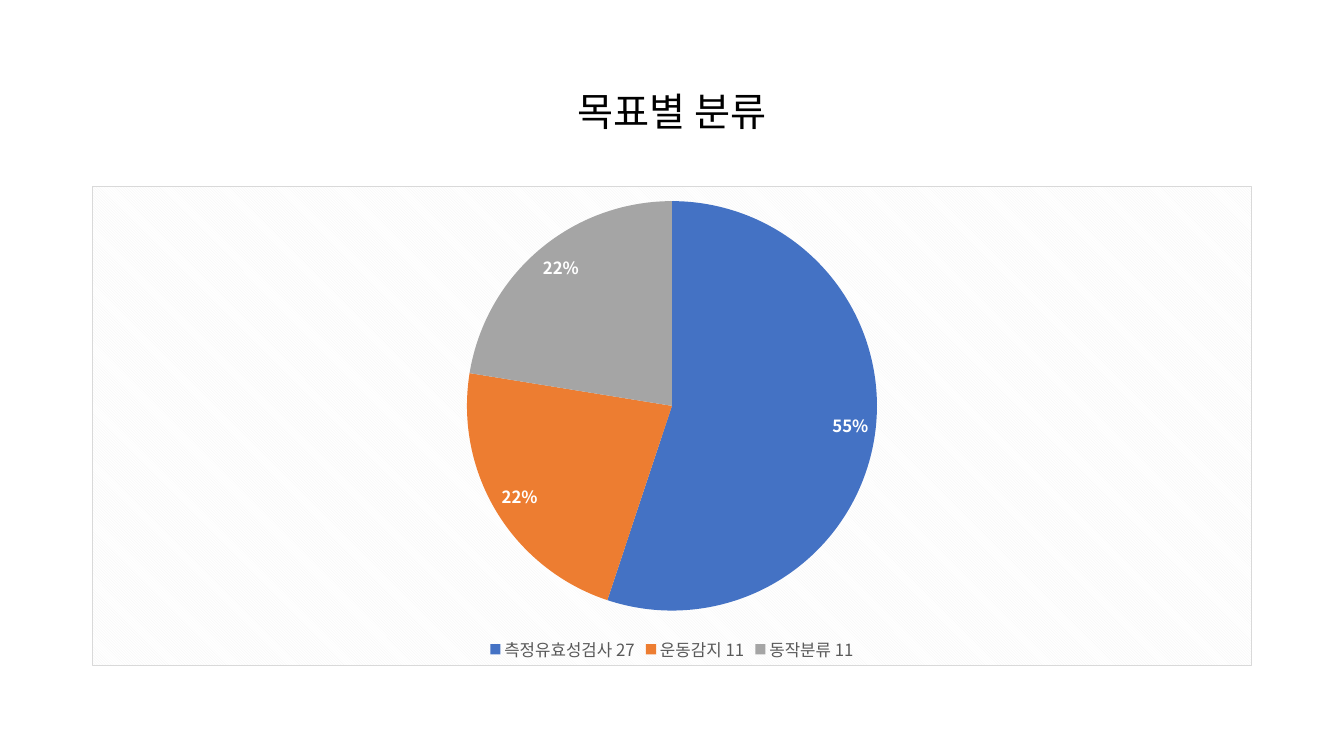
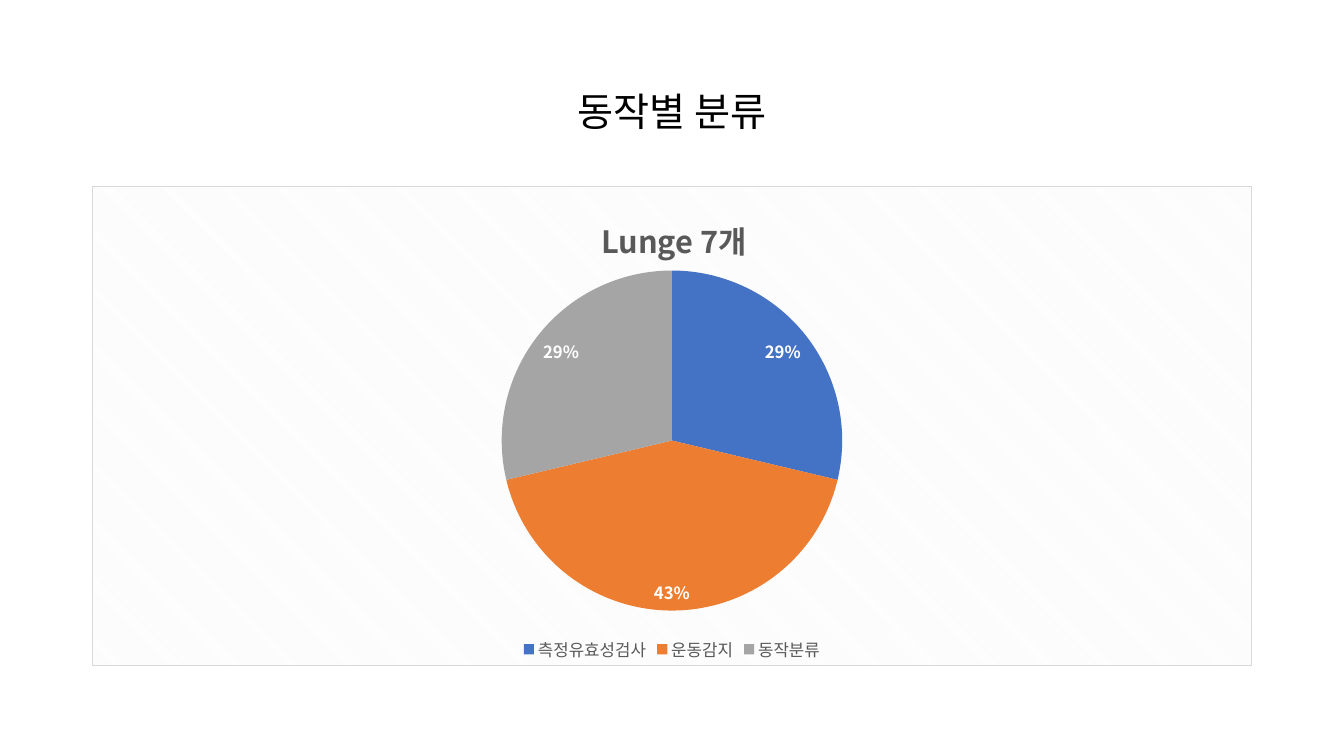
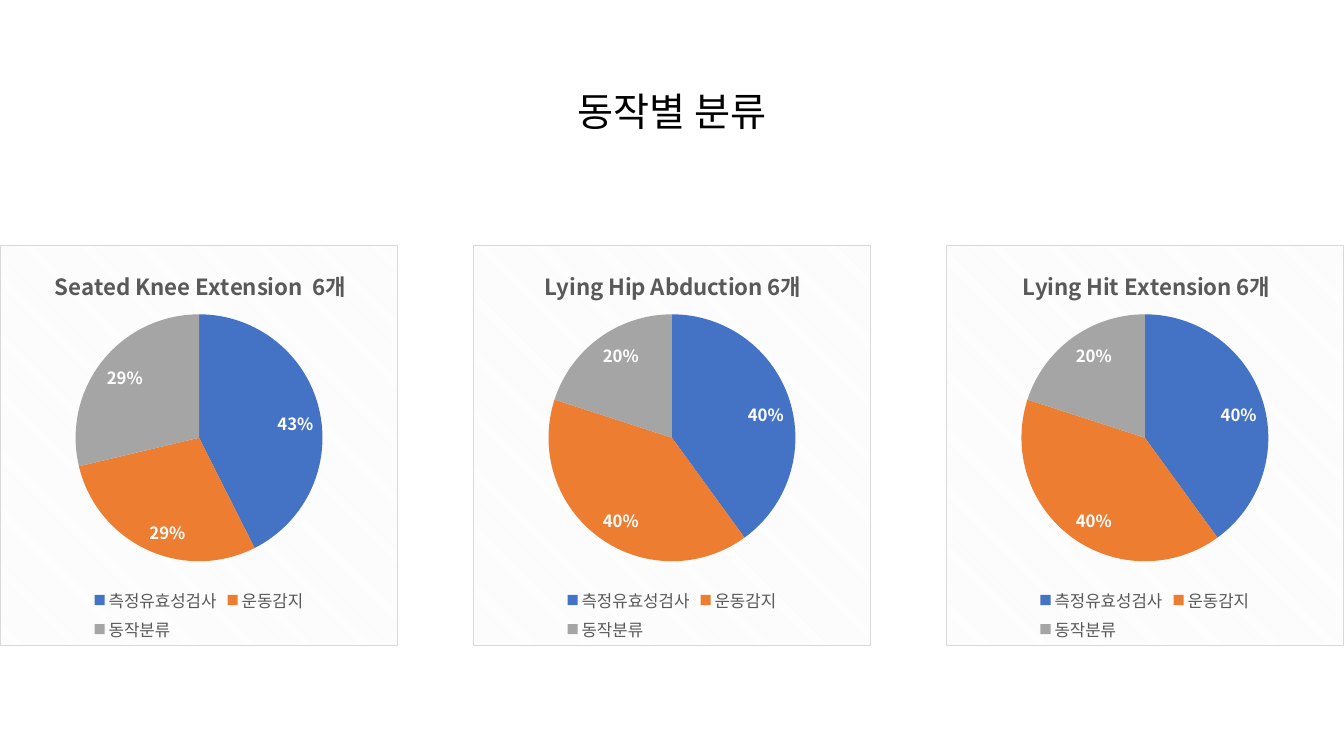
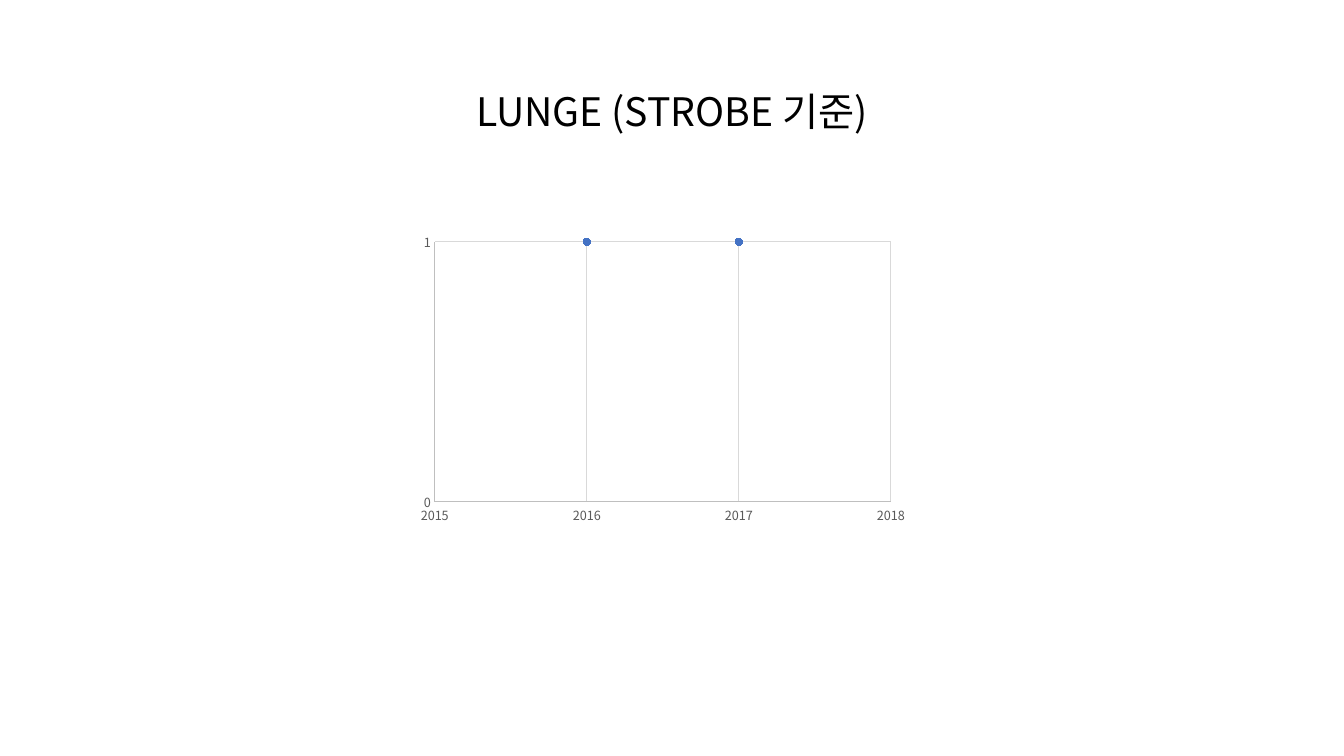
from lxml import etree
from pptx import Presentation
from pptx.chart.data import CategoryChartData, XyChartData
from pptx.dml.color import RGBColor
from pptx.enum.chart import (XL_CHART_TYPE, XL_LABEL_POSITION, XL_LEGEND_POSITION,
                             XL_MARKER_STYLE, XL_TICK_MARK)
from pptx.enum.text import MSO_ANCHOR, PP_ALIGN
from pptx.oxml import parse_xml
from pptx.oxml.ns import nsdecls, qn
from pptx.util import Pt

PIE, SCATTER = XL_CHART_TYPE.PIE, XL_CHART_TYPE.XY_SCATTER
INSIDE_END, BOTTOM = XL_LABEL_POSITION.INSIDE_END, XL_LEGEND_POSITION.BOTTOM
CIRCLE, NO_TICK = XL_MARKER_STYLE.CIRCLE, XL_TICK_MARK.NONE
MIDDLE, CENTER = MSO_ANCHOR.MIDDLE, PP_ALIGN.CENTER

FONT = "Noto Sans CJK KR"
COLORS = {
    "black": "000000", "white": "FFFFFF", "text": "595959",
    "border": "D9D9D9", "axis": "BFBFBF", "hatch": "F2F2F2",
    "blue": "4472C4", "orange": "ED7D31", "gray": "A5A5A5",
}
SLICE_COLORS = ("blue", "orange", "gray")
GOALS = ("측정유효성검사", "운동감지", "동작분류")

SLIDE_W, SLIDE_H = 960, 540
TITLE_BOX = (66, 29, 828, 104)
WIDE_BOX = (66, 133, 828, 343)
SCATTER_BOX = (294, 162, 360, 216)
CARD_TOP, CARD_W, CARD_H = 175, 284.4, 286.6
CHART_TITLE_TOP = 0.045


def rgb(name):
    return RGBColor.from_string(COLORS[name])


def style_font(font, size, color, bold=False):
    font.name, font.size, font.bold = FONT, Pt(size), bold
    font.color.rgb = rgb(color)


def use_korean_font(root):
    """Repeat each Latin typeface as the East Asian one."""
    for latin in list(root.iter(qn("a:latin"))):
        east_asian = etree.Element(qn("a:ea"), typeface=FONT)
        latin.addnext(east_asian)


def manual_layout(inner=False, **fractions):
    """Layout element placing a chart part by fractions of the chart."""
    target = '<c:layoutTarget val="inner"/>' if inner else ""
    modes = '<c:xMode val="edge"/><c:yMode val="edge"/>'
    places = "".join(f'<c:{key} val="{value:.3f}"/>' for key, value in fractions.items())
    return parse_xml(f'<c:layout {nsdecls("c")}><c:manualLayout>{target}{modes}{places}'
                     '</c:manualLayout></c:layout>')


def drop_layout(element):
    for layout in element.findall(qn("c:layout")):
        element.remove(layout)


def place_plot(chart, x, y, w, h):
    plot_area = chart.plots[0]._element.getparent()
    drop_layout(plot_area)
    plot_area.insert(0, manual_layout(True, x=x, y=y, w=w, h=h))


def add_chart(slide, kind, box, data):
    chart = slide.shapes.add_chart(kind, *map(Pt, box), data).chart
    style_font(chart.font, 10, "black")
    chart.has_title = chart.has_legend = False
    return chart


def hatch_background(chart):
    frame = parse_xml(
        f'<c:spPr {nsdecls("c", "a")}><a:pattFill prst="dkDnDiag">'
        f'<a:fgClr><a:srgbClr val="{COLORS["hatch"]}"/></a:fgClr>'
        f'<a:bgClr><a:srgbClr val="{COLORS["white"]}"/></a:bgClr></a:pattFill>'
        f'<a:ln w="{Pt(0.75)}"><a:solidFill><a:srgbClr val="{COLORS["border"]}"/>'
        '</a:solidFill></a:ln></c:spPr>')
    chart._chartSpace.find(qn("c:chart")).addnext(frame)


def add_title(slide, text):
    frame = slide.shapes.add_textbox(*map(Pt, TITLE_BOX)).text_frame
    frame.word_wrap, frame.vertical_anchor = True, MIDDLE
    frame.text = text
    paragraph = frame.paragraphs[0]
    paragraph.alignment, paragraph.line_spacing = CENTER, 0.9
    style_font(paragraph.runs[0].font, 28, "black")
    use_korean_font(frame._txBody)


def add_pie(slide, box, labels, values, pie_top, pie_size, title=None, title_size=16, title_x=0):
    """Hatched pie card; pie_top and pie_size are fractions of its height."""
    data = CategoryChartData()
    data.categories = labels
    data.add_series("Series 1", values)
    chart = add_chart(slide, PIE, box, data)
    hatch_background(chart)

    # Heading
    if title:
        frame = chart.chart_title.text_frame
        frame.text = title
        style_font(frame.paragraphs[0].runs[0].font, title_size, "text", True)
        heading = chart.chart_title._element
        drop_layout(heading)
        heading.find(qn("c:tx")).addnext(manual_layout(x=title_x, y=CHART_TITLE_TOP))

    # Legend
    chart.has_legend = True
    chart.legend.position, chart.legend.include_in_layout = BOTTOM, False
    style_font(chart.legend.font, 12, "text")

    # Slices and percentages
    plot = chart.plots[0]
    plot.vary_by_categories = True
    for index, color in enumerate(SLICE_COLORS):
        fill = plot.series[0].points[index].format.fill
        fill.solid()
        fill.fore_color.rgb = rgb(color)
    plot.has_data_labels = True
    percents = plot.data_labels
    percents.show_percentage, percents.show_value = True, False
    percents.number_format, percents.number_format_is_linked = "0%", False
    percents.position = INSIDE_END
    style_font(percents.font, 12, "white", True)

    width = pie_size * box[3] / box[2]
    place_plot(chart, (1 - width) / 2, pie_top, width, pie_size)
    use_korean_font(chart._chartSpace)


def add_year_scatter(slide, box, points):
    data = XyChartData()
    series_data = data.add_series("Series 1")
    for year, value in points:
        series_data.add_data_point(year, value)
    chart = add_chart(slide, SCATTER, box, data)
    chart.plots[0].vary_by_categories = False

    # Axes
    for axis, low, high in ((chart.category_axis, 2015, 2018), (chart.value_axis, 0, 1)):
        axis.minimum_scale, axis.maximum_scale, axis.major_unit = low, high, 1
        axis.major_tick_mark = axis.minor_tick_mark = NO_TICK
        axis.has_major_gridlines = True
        style_font(axis.tick_labels.font, 9, "text")
        for line, color in ((axis.format.line, "axis"),
                            (axis.major_gridlines.format.line, "border")):
            line.width, line.color.rgb = Pt(0.75), rgb(color)

    # Markers
    series = chart.plots[0].series[0]
    series.format.line.fill.background()
    series.marker.style, series.marker.size = CIRCLE, 5
    series.marker.format.fill.solid()
    series.marker.format.fill.fore_color.rgb = rgb("blue")
    series.marker.format.line.color.rgb = rgb("blue")

    place_plot(chart, 0.046, 0.05, 0.905, 0.86)
    use_korean_font(chart._chartSpace)


def new_slide(deck, title):
    slide = deck.slides.add_slide(deck.slide_layouts[6])
    add_title(slide, title)
    return slide


def main():
    deck = Presentation()
    deck.slide_width, deck.slide_height = Pt(SLIDE_W), Pt(SLIDE_H)

    # Studies by goal
    counts = (27, 11, 11)
    labels = [f"{goal} {count}" for goal, count in zip(GOALS, counts)]
    add_pie(new_slide(deck, "목표별 분류"), WIDE_BOX, labels, counts, 0.03, 0.855)

    # Lunge
    add_pie(new_slide(deck, "동작별 분류"), WIDE_BOX, GOALS, (29, 43, 29), 0.175, 0.71,
            "Lunge 7개", 22, 0.434)

    # Three further movements
    movements = (
        ("Seated Knee Extension  6개", (43, 29, 29), 0.126),
        ("Lying Hip Abduction 6개", (40, 40, 20), 0.168),
        ("Lying Hit Extension 6개", (40, 40, 20), 0.181),
    )
    slide = new_slide(deck, "동작별 분류")
    step = (SLIDE_W - CARD_W) / (len(movements) - 1)
    for index, (name, shares, title_x) in enumerate(movements):
        add_pie(slide, (index * step, CARD_TOP, CARD_W, CARD_H), GOALS, shares, 0.172, 0.617,
                name, title_x=title_x)

    # Lunge by year
    years = [2016] * 3 + [2017] * 3
    add_year_scatter(new_slide(deck, "LUNGE (STROBE 기준)"), SCATTER_BOX,
                     [(year, 1) for year in years])

    deck.save("out.pptx")


if __name__ == "__main__":
    main()
